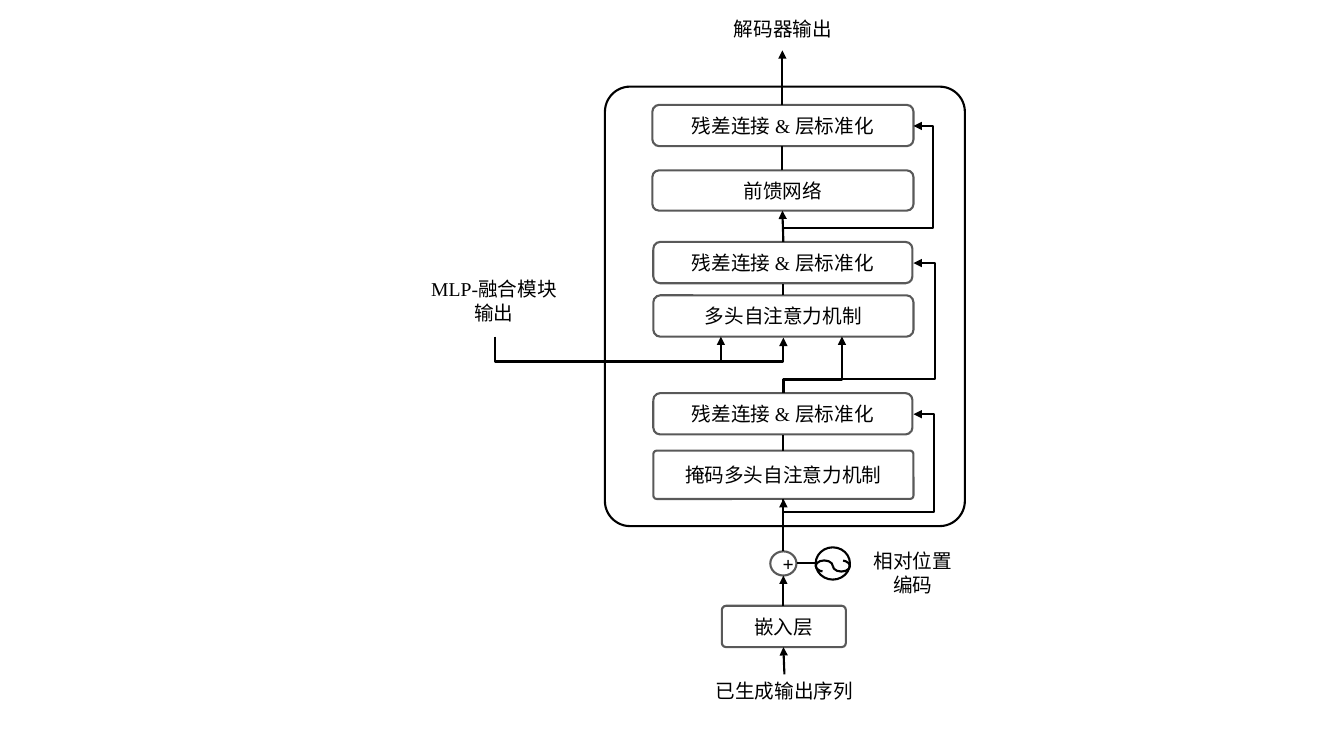
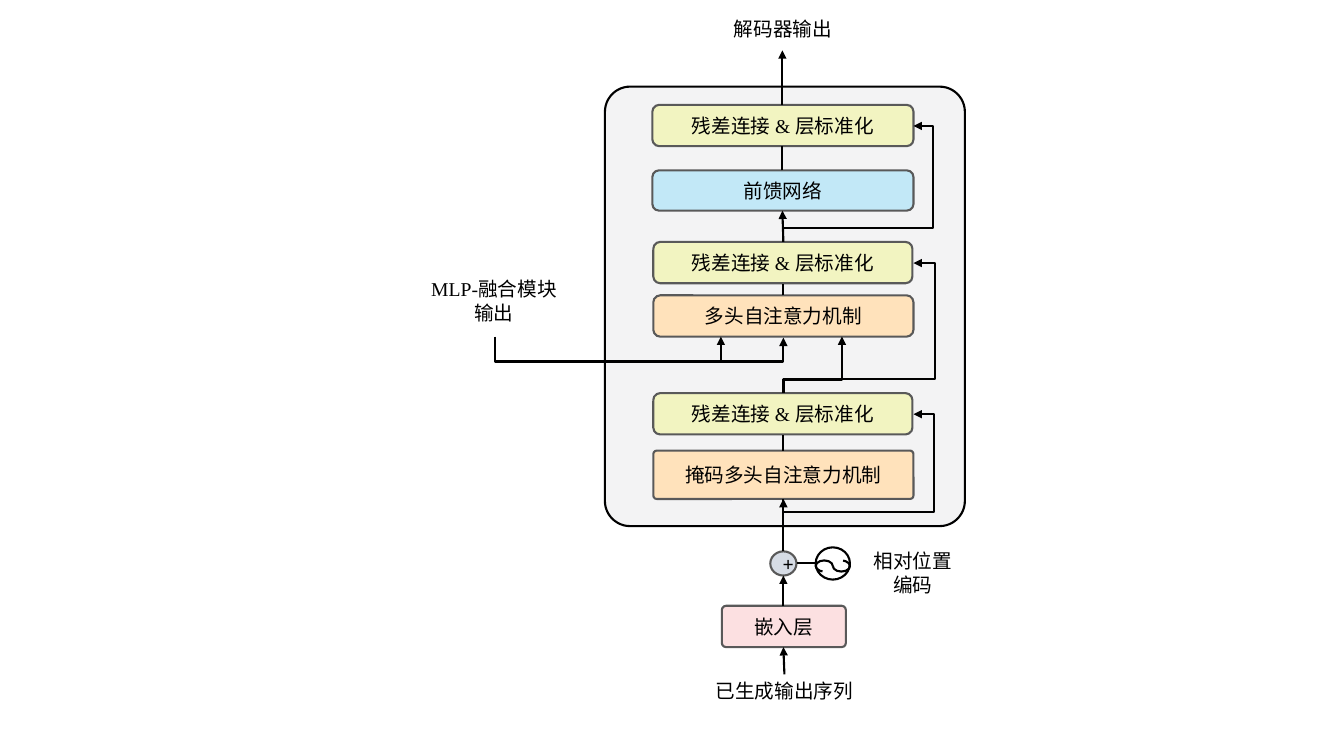
"""Build two decoder architecture slides, one in outline and one in colour."""
from dataclasses import dataclass

from lxml.etree import SubElement
from pptx import Presentation
from pptx.dml.color import RGBColor
from pptx.enum.shapes import MSO_CONNECTOR, MSO_SHAPE
from pptx.enum.text import MSO_AUTO_SIZE, PP_ALIGN
from pptx.oxml.ns import qn
from pptx.util import Pt

PX = 9144


@dataclass(frozen=True)
class Theme:
    font: str = "Times New Roman"
    text_size: Pt = Pt(14)
    line_width: Pt = Pt(1.5)
    ink: RGBColor = RGBColor(0, 0, 0)
    border: RGBColor = RGBColor(0x59, 0x59, 0x59)
    white: RGBColor = RGBColor(0xFF, 0xFF, 0xFF)
    panel: RGBColor = RGBColor(0xF3, 0xF3, 0xF4)
    attention: RGBColor = RGBColor(0xFF, 0xE2, 0xBB)
    normalize: RGBColor = RGBColor(0xF2, 0xF4, 0xC1)
    feed_forward: RGBColor = RGBColor(0xC2, 0xE8, 0xF7)
    embedding: RGBColor = RGBColor(0xFC, 0xE0, 0xE1)
    addition: RGBColor = RGBColor(0xD6, 0xDC, 0xE5)


theme = Theme()
NORMALIZE_TEXT = "残差连接 & 层标准化"
ROUNDED, OVAL = MSO_SHAPE.ROUNDED_RECTANGLE, MSO_SHAPE.OVAL

BLOCKS = [
    (ROUNDED, (600, 86, 357, 436), 0.07, "", theme.panel, theme.ink),
    (ROUNDED, (648, 447, 258, 48), 0.07, "掩码多头自注意力机制", theme.attention, theme.border),
    (ROUNDED, (648, 390, 257, 41), None, NORMALIZE_TEXT, theme.normalize, theme.border),
    (ROUNDED, (648, 293, 258, 41), None, "多头自注意力机制", theme.attention, theme.border),
    (ROUNDED, (648, 240, 257, 41), None, NORMALIZE_TEXT, theme.normalize, theme.border),
    (ROUNDED, (647, 169, 259, 40), None, "前馈网络", theme.feed_forward, theme.border),
    (ROUNDED, (647, 104, 259, 41), None, NORMALIZE_TEXT, theme.normalize, theme.border),
    (ROUNDED, (716, 601, 123, 41), 0.1, "嵌入层", theme.embedding, theme.border),
    (OVAL, (764, 547, 26, 24), None, "+", theme.addition, theme.border),
]
STRAIGHT_LINES = [
    ((777, 447), (777, 432), False),
    ((777, 293), (777, 282), False),
    ((776, 169), (776, 145), False),
    ((790, 559), (809, 559), False),
    ((777, 240), (776, 209), True),
    ((715, 358), (715, 334), True),
    ((777, 547), (777, 495), True),
    ((777, 601), (777, 571), True),
    ((778, 669), (777, 642), True),
    ((776, 104), (776, 50), True),
]
BENT_ARROWS = [
    ((777, 495), (906, 411), 90, (-0.16, 1.16)),
    ((778, 376), (906, 261), 0, (1.17,)),
    ((777, 240), (906, 125), 90, (0.12, 1.15)),
    ((777, 390), (835, 334), 90, (0.24,)),
    ((491, 334), (777, 335), 270, (25,)),
]
LABELS = [
    ((675, 669, 206, 34), "已生成输出序列"),
    ((854, 540, 103, 64), "相对位置编码"),
    ((699, 12, 155, 38), "解码器输出"),
    ((417, 270, 146, 64), "MLP-融合模块输出"),
]
WAVE_ARCS = [(809, 0), (826, 180)]


def write_text(shape, text):
    """Put one centred paragraph in the diagram's type into a shape."""
    shape.text_frame.word_wrap = True
    paragraph = shape.text_frame.paragraphs[0]
    paragraph.text = text
    paragraph.alignment = PP_ALIGN.CENTER
    paragraph.font.name = theme.font
    paragraph.font.size = theme.text_size
    paragraph.font.bold = text == "+"
    paragraph.font.color.rgb = theme.ink


def add_outlined(shapes, kind, bounds, border, fill=None):
    """Add a preset shape with an outline and an optional fill."""
    shape = shapes.add_shape(kind, *(length * PX for length in bounds))
    shape.shadow.inherit = False
    shape.line.color.rgb = border
    shape.line.width = theme.line_width
    if fill is None:
        shape.fill.background()
    else:
        shape.fill.solid()
        shape.fill.fore_color.rgb = fill
    return shape


presentation = Presentation()
presentation.slide_width = 1333 * PX
presentation.slide_height = 750 * PX

for coloured in (False, True):
    slide = presentation.slides.add_slide(presentation.slide_layouts[6])

    for kind, bounds, corner, text, fill, border in BLOCKS:
        shape = add_outlined(slide.shapes, kind, bounds, border, fill if coloured else None)
        if corner is not None:
            shape.adjustments[0] = corner
        if text:
            write_text(shape, text)

    connectors = [(start, end, 0, (), arrow) for start, end, arrow in STRAIGHT_LINES]
    connectors += [(*bent_arrow, True) for bent_arrow in BENT_ARROWS]
    for start, end, rotation, bends, arrow in connectors:
        if rotation:
            sign = 1 if rotation == 90 else -1
            middle_x, middle_y = (start[0] + end[0]) / 2, (start[1] + end[1]) / 2
            start, end = (
                (middle_x + sign * (y - middle_y), middle_y - sign * (x - middle_x))
                for x, y in (start, end)
            )
        kind = MSO_CONNECTOR.ELBOW if bends else MSO_CONNECTOR.STRAIGHT
        connector = slide.shapes.add_connector(
            kind, *(round(length * PX) for length in (*start, *end))
        )
        connector.line.color.rgb = theme.ink
        connector.line.width = theme.line_width
        properties = connector._element.spPr
        if bends:
            properties.find(qn("a:xfrm")).set("rot", str(rotation * 60000))
            geometry = properties.find(qn("a:prstGeom"))
            geometry.set("prst", f"bentConnector{len(bends) + 2}")
            for number, bend in enumerate(bends, 1):
                guide = SubElement(geometry.find(qn("a:avLst")), qn("a:gd"))
                guide.set("name", f"adj{number}" if len(bends) > 1 else "adj1")
                guide.set("fmla", f"val {round(bend * 100000)}")
        if arrow:
            SubElement(connector.get_or_add_ln(), qn("a:tailEnd")).set("type", "triangle")
        SubElement(properties, qn("a:effectLst"))

    wave = slide.shapes.add_group_shape()
    add_outlined(wave.shapes, OVAL, (809, 543, 34, 32), theme.ink, theme.white)
    for left, rotation in WAVE_ARCS:
        arc = add_outlined(wave.shapes, MSO_SHAPE.ARC, (left, 556, 17, 11), theme.ink)
        arc.adjustments[0] = 64.46
        arc.adjustments[1] = 0
        arc.rotation = rotation

    for bounds, text in LABELS:
        label = slide.shapes.add_textbox(*(length * PX for length in bounds))
        write_text(label, text)
        label.text_frame.auto_size = MSO_AUTO_SIZE.SHAPE_TO_FIT_TEXT

presentation.save("out.pptx")
